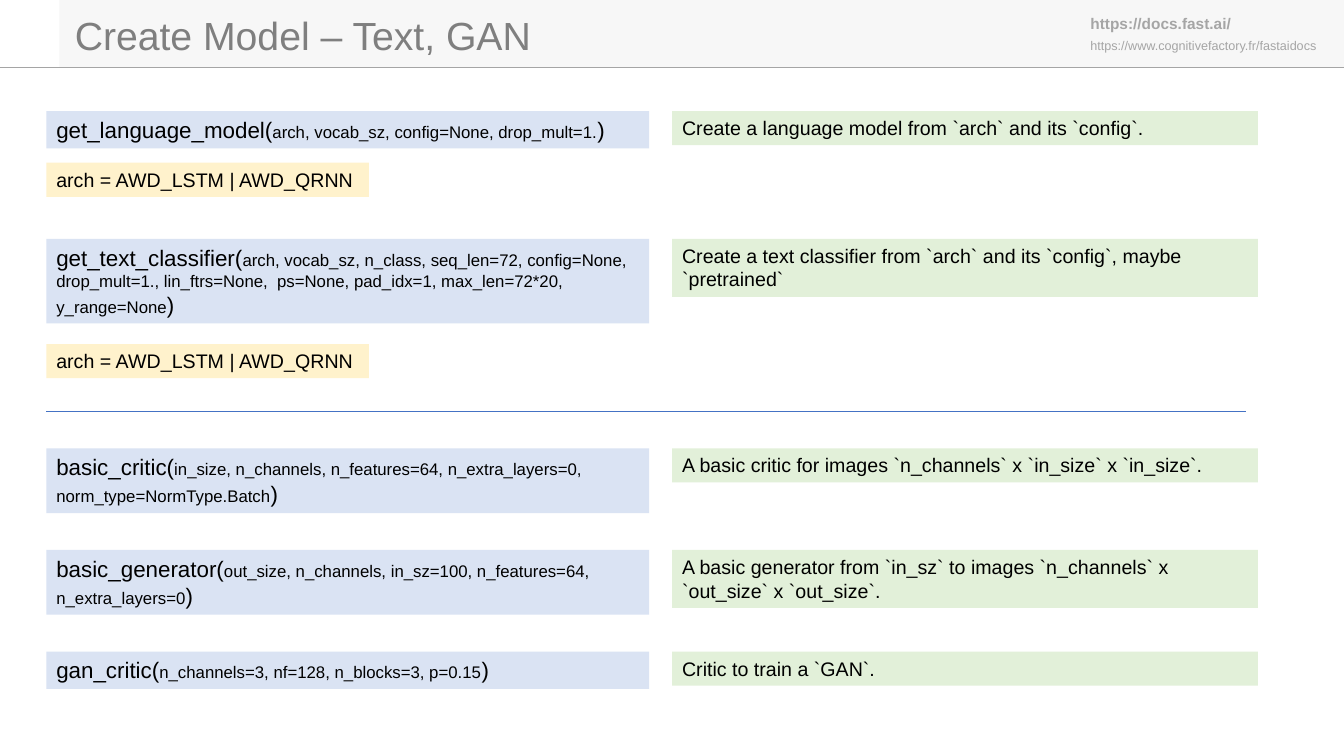
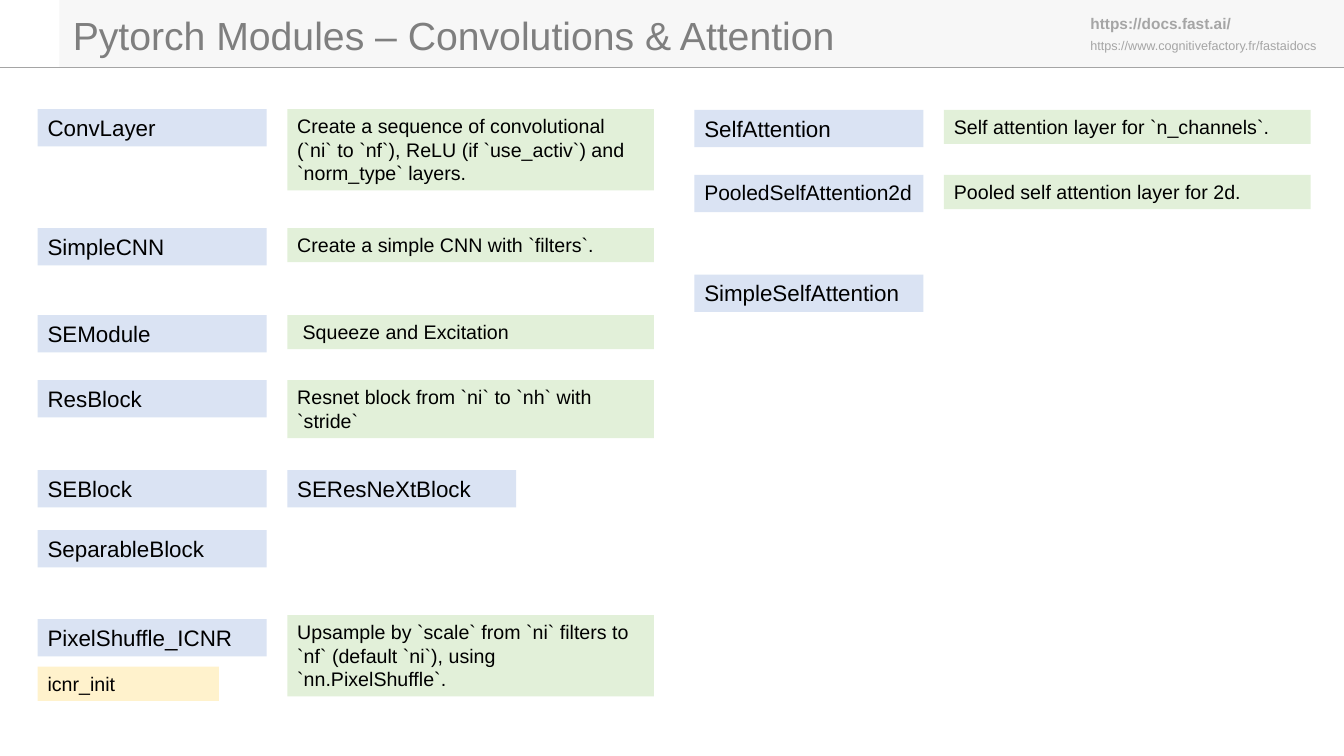
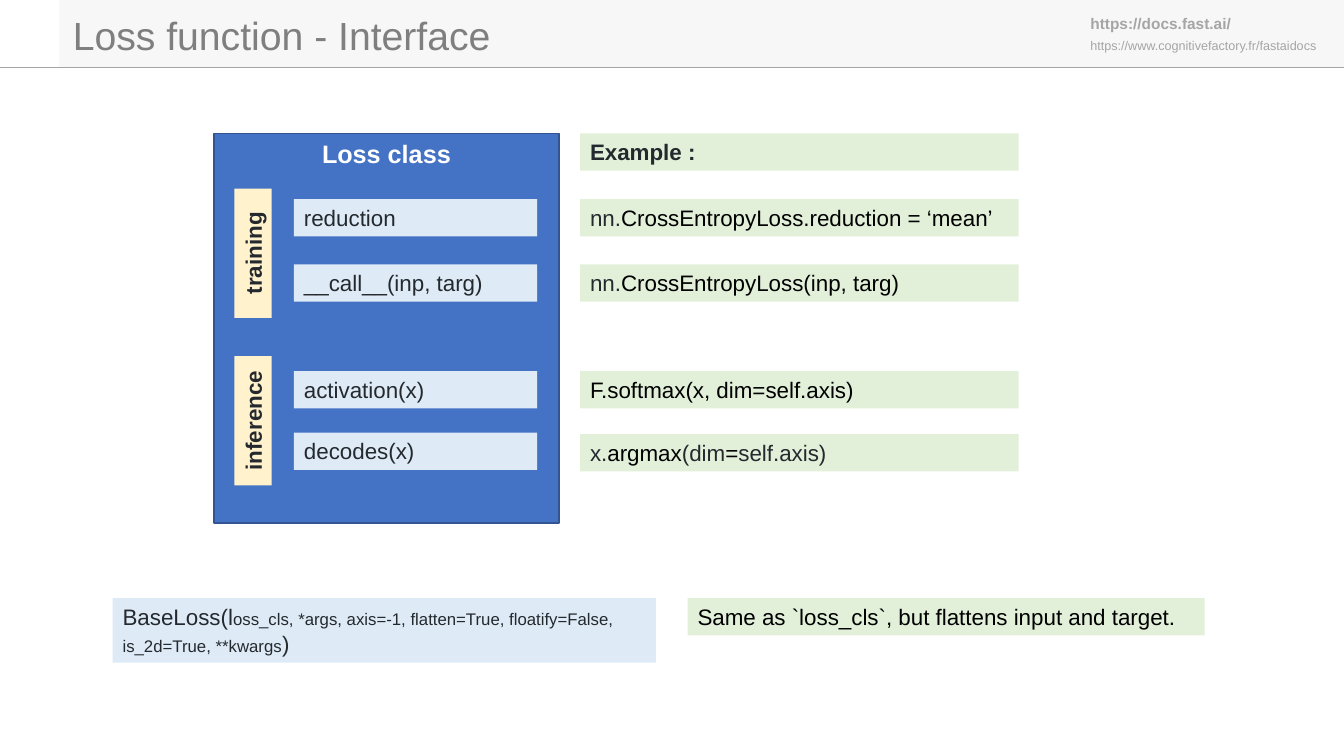
"""Build three reference slides on fastai models, modules and losses."""
from lxml import etree
from pptx import Presentation
from pptx.dml.color import RGBColor
from pptx.enum import shapes, text
from pptx.oxml.ns import qn
from pptx.util import Cm, Pt

COLORS = {
    "band": "F7F7F7", "rule": "A5A5A5", "title": "7F7F7F",
    "code": "DAE3F3", "note": "E2F0D9", "option": "FFF2CC", "method": "DEEBF7",
    "accent": "4472C4", "border": "325491",
    "black": "000000", "ink": "24292E", "white": "FFFFFF",
}
RGB = {name: RGBColor.from_string(value) for name, value in COLORS.items()}
FONT = "Arial"
LINE_16 = 0.94
NOTE_HEIGHTS = {1: 0.86, 2: 1.46, 3: 2.05}


def add_box(page, fill, place, spans, bold=False, align=text.PP_ALIGN.LEFT):
    """Add a box at (left, top, width, height) with (text, size, colour) runs."""
    lengths = [Cm(value) for value in place]
    if fill:
        box = page.shapes.add_shape(shapes.MSO_SHAPE.RECTANGLE, *lengths)
        box.shadow.inherit = False
        box.fill.solid()
        box.fill.fore_color.rgb = RGB[fill]
        box.line.fill.background()
    else:
        box = page.shapes.add_textbox(*lengths)
    frame = box.text_frame
    frame.word_wrap = True
    frame.vertical_anchor = text.MSO_ANCHOR.TOP
    if spans:
        frame.auto_size = text.MSO_AUTO_SIZE.SHAPE_TO_FIT_TEXT
    para = frame.paragraphs[0]
    para.alignment = align
    for words, size, color in spans:
        span = para.add_run()
        span.text = words
        span.font.name = FONT
        span.font.size = Pt(size)
        span.font.bold = bold
        span.font.color.rgb = RGB[color]
    return box


def add_rule(page, left, right, top, color):
    """Add a thin horizontal line."""
    rule = page.shapes.add_connector(
        shapes.MSO_CONNECTOR.STRAIGHT, Cm(left), Cm(top), Cm(right), Cm(top))
    rule.line.color.rgb = RGB[color]
    rule.line.width = Pt(0.5)
    etree.SubElement(rule.element.spPr, qn("a:effectLst"))


deck = Presentation()
deck.slide_width, deck.slide_height = Cm(33.87), Cm(19.05)
layout = deck.slide_layouts.get_by_name("Title Only")
for holder in list(layout.placeholders):
    if holder.placeholder_format.type != shapes.PP_PLACEHOLDER.TITLE:
        layout.shapes.element.remove(holder.element)

titles = [
    ("Create Model – Text, GAN", 1.63, 12.15),
    ("Pytorch Modules – Convolutions & Attention", 1.58, 19.94),
    ("Loss function - Interface", 1.58, 11.17),
]
pages = []
for words, left, width in titles:
    page = deck.slides.add_slide(layout)
    title = page.shapes.title
    title.left, title.top, title.width, title.height = (
        Cm(left), Cm(0.15), Cm(width), Cm(1.45))
    frame = title.text_frame
    frame.word_wrap = False
    frame.auto_size = text.MSO_AUTO_SIZE.NONE
    frame.vertical_anchor = text.MSO_ANCHOR.TOP
    para = frame.paragraphs[0]
    para.alignment = text.PP_ALIGN.LEFT
    span = para.add_run()
    span.text = words
    span.font.name = FONT
    span.font.size = Pt(28)
    span.font.color.rgb = RGB["title"]
    pages.append(page)
models, modules, losses = pages

add_box(models, "band", (1.5, 0, 32.37, 1.7), [])
add_rule(models, 0, 33.87, 1.7, "rule")
add_box(models, None, (27.23, 0.83, 6.86, 0.64),
        [("https://www.cognitivefactory.fr/fastaidocs", 9, "rule")])
add_box(models, None, (27.23, 0.23, 6.78, 0.73),
        [("https://docs.fast.ai/", 11, "rule")], bold=True)
for shape in list(models.shapes):
    if not shape.is_placeholder:
        layout.shapes.element.append(shape.element)

functions = [
    (2.8, LINE_16, "get_language_model(", "arch, vocab_sz, config=None, drop_mult=1.",
     1, "Create a language model from `arch` and its `config`."),
    (6.02, 2.13, "get_text_classifier(",
     "arch, vocab_sz, n_class, seq_len=72, config=None, drop_mult=1., "
     "lin_ftrs=None,  ps=None, pad_idx=1, max_len=72*20, y_range=None",
     2, "Create a text classifier from `arch` and its `config`, maybe `pretrained`"),
    (11.3, 1.63, "basic_critic(",
     "in_size, n_channels, n_features=64, n_extra_layers=0, norm_type=NormType.Batch",
     1, "A basic critic for images `n_channels` x `in_size` x `in_size`."),
    (13.86, 1.63, "basic_generator(",
     "out_size, n_channels, in_sz=100, n_features=64, n_extra_layers=0",
     2, "A basic generator from `in_sz` to images `n_channels` x `out_size` x `out_size`."),
    (16.42, LINE_16, "gan_critic(", "n_channels=3, nf=128, n_blocks=3, p=0.15",
     1, "Critic to train a `GAN`."),
]
for top, height, name, arguments, lines, note in functions:
    add_box(models, "code", (1.17, top, 15.19, height),
            [(name, 16, "black"), (arguments, 12, "black"), (")", 16, "black")])
    add_box(models, "note", (16.94, top, 14.76, NOTE_HEIGHTS[lines]),
            [(note, 14, "black")])
for top in (4.1, 8.67):
    add_box(models, "option", (1.17, top, 8.13, NOTE_HEIGHTS[1]),
            [("arch = AWD_LSTM | AWD_QRNN", 14, "black")])
add_rule(models, 1.17, 31.39, 10.36, "accent")

NAME_WIDTH, NOTE_WIDTH, NOTE_OFFSET = 5.77, 9.24, 6.29
layers = [
    (0.95, 2.75, "ConvLayer", 16),
    (0.95, 5.75, "SimpleCNN", 16),
    (0.95, 7.94, "SEModule", 16),
    (0.95, 9.58, "ResBlock", 16),
    (0.95, 11.85, "SEBlock", 16),
    (0.95 + NOTE_OFFSET, 11.85, "SEResNeXtBlock", 16),
    (0.95, 13.36, "SeparableBlock", 16),
    (0.95, 15.6, "PixelShuffle_ICNR", 16),
    (17.5, 2.77, "SelfAttention", 16),
    (17.5, 4.41, "PooledSelfAttention2d", 15),
    (17.5, 6.92, "SimpleSelfAttention", 16),
]
for left, top, name, size in layers:
    add_box(modules, "code", (left, top, NAME_WIDTH, LINE_16), [(name, size, "black")])
layer_notes = [
    (0.95, 2.75, 3, "Create a sequence of convolutional (`ni` to `nf`), "
                    "ReLU (if `use_activ`) and `norm_type` layers."),
    (0.95, 5.75, 1, "Create a simple CNN with `filters`."),
    (0.95, 7.94, 1, " Squeeze and Excitation"),
    (0.95, 9.58, 2, "Resnet block from `ni` to `nh` with `stride`"),
    (0.95, 15.5, 3, "Upsample by `scale` from `ni` filters to `nf` "
                    "(default `ni`), using `nn.PixelShuffle`."),
    (17.5, 2.77, 1, "Self attention layer for `n_channels`."),
    (17.5, 4.41, 1, "Pooled self attention layer for 2d."),
]
for left, top, lines, note in layer_notes:
    add_box(modules, "note", (left + NOTE_OFFSET, top, NOTE_WIDTH, NOTE_HEIGHTS[lines]),
            [(note, 14, "black")])
add_box(modules, "option", (0.95, 16.8, 4.57, NOTE_HEIGHTS[1]),
        [("icnr_init", 14, "black")])

panel = add_box(losses, "accent", (5.39, 3.37, 8.7, 9.81),
                [("Loss class", 18, "white")], bold=True, align=text.PP_ALIGN.CENTER)
panel.text_frame.auto_size = text.MSO_AUTO_SIZE.NONE
panel.line.color.rgb = RGB["border"]
panel.line.width = Pt(1)

for top, phase in ((5.91, "training"), (10.13, "inference")):
    tab = add_box(losses, "option", (4.75, top, 3.26, LINE_16),
                  [(phase, 16, "ink")], bold=True, align=text.PP_ALIGN.CENTER)
    tab.rotation = 270

methods = [
    (5.02, "reduction"),
    (6.66, "__call__(inp, targ)"),
    (9.35, "activation(x)"),
    (10.9, "decodes(x)"),
]
for top, method in methods:
    add_box(losses, "method", (7.41, top, 6.13, LINE_16), [(method, 16, "ink")])

examples = [
    (3.36, True, [("Example :", 16, "ink")]),
    (5.02, False, [("nn.", 16, "ink"),
                   ("CrossEntropyLoss.reduction = ‘mean’", 16, "black")]),
    (6.66, False, [("nn.", 16, "ink"), ("CrossEntropyLoss(inp, targ)", 16, "black")]),
    (9.35, False, [("F.softmax(x, dim=self.axis)", 16, "black")]),
    (10.94, False, [("x.", 16, "ink"), ("argmax", 16, "black"), ("(dim", 16, "ink"),
                    ("=", 16, "black"), ("self.axis)", 16, "ink")]),
]
for top, bold, spans in examples:
    add_box(losses, "note", (14.62, top, 11.05, LINE_16), spans, bold=bold)

add_box(losses, "method", (2.84, 15.07, 13.69, 1.63),
        [("BaseLoss(l", 16, "ink"),
         ("oss_cls, *args, axis=-1, flatten=True, floatify=False, is_2d=True, **kwargs",
          12, "ink"),
         (")", 16, "ink")])
add_box(losses, "note", (17.33, 15.07, 13.03, LINE_16),
        [("Same as `loss_cls`, but flattens input and target.", 16, "black")])

deck.save("out.pptx")
